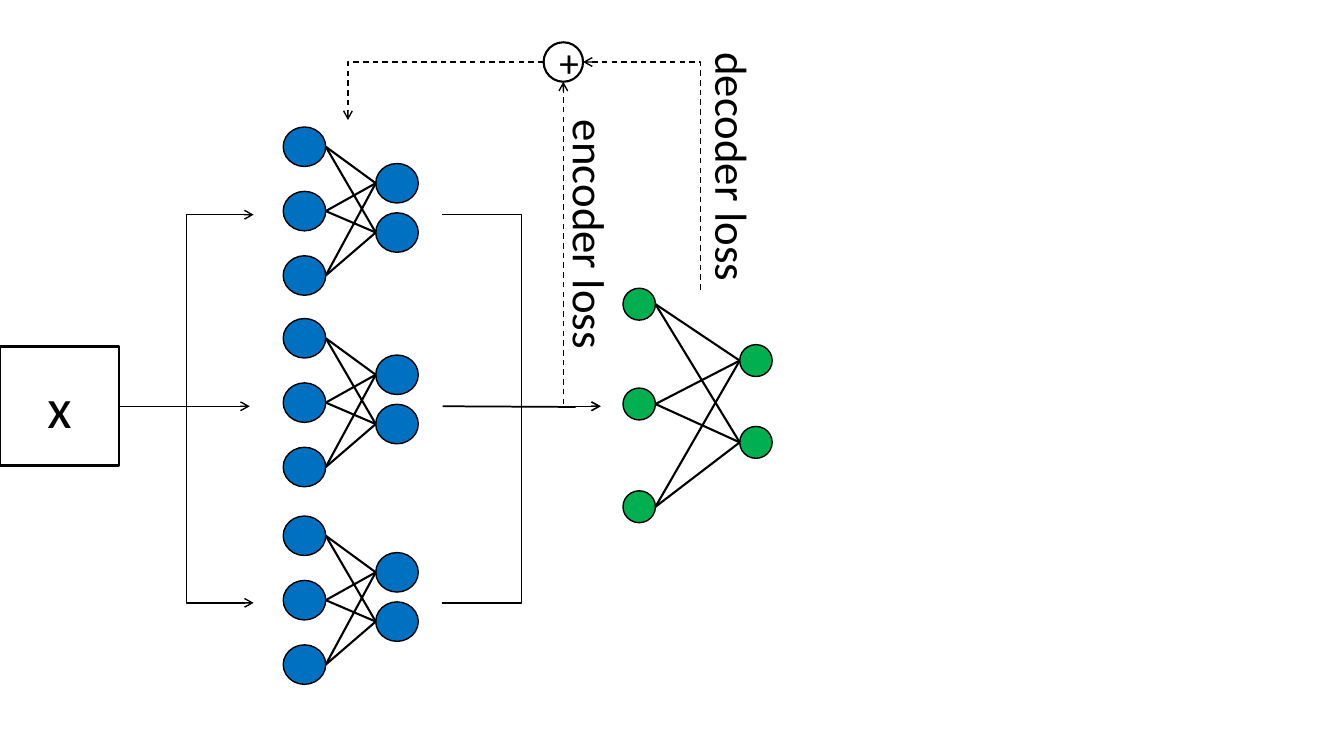
from collections import namedtuple
from itertools import product

from lxml import etree
from pptx import Presentation
from pptx.dml.color import RGBColor
from pptx.enum.dml import MSO_LINE
from pptx.enum.shapes import MSO_CONNECTOR, MSO_SHAPE
from pptx.enum.text import MSO_ANCHOR, PP_ALIGN
from pptx.oxml.ns import qn
from pptx.util import Pt

OVAL, RECT = MSO_SHAPE.OVAL, MSO_SHAPE.RECTANGLE
LINE, ELBOW = MSO_CONNECTOR.STRAIGHT, MSO_CONNECTOR.ELBOW
DASH, MID, MIDDLE = MSO_LINE.DASH, PP_ALIGN.CENTER, MSO_ANCHOR.MIDDLE

Box = namedtuple("Box", "x y w h")
Theme = namedtuple("Theme", "font ink blue green input label sign thin medium thick heavy")
THEME = Theme("Calibri", RGBColor(0, 0, 0), RGBColor(0, 0x70, 0xC0),
              RGBColor(0, 0xB0, 0x50), 40, 32, 28, 1, 1.25, 1.5, 2)


def write(frame, text, size):
    """Write one centred run into a text frame."""
    para = frame.paragraphs[0]
    para.alignment = MID
    run = para.add_run()
    run.text = text
    run.font.name, run.font.size = THEME.font, Pt(size)
    run.font.color.rgb = THEME.ink


def shape(shapes, kind, box, width, fill=None, text="", size=0):
    """Add an outlined shape, with optional fill and text."""
    item = shapes.add_shape(kind, *map(Pt, box))
    item.shadow.inherit = False
    if fill is None:
        item.fill.background()
    else:
        item.fill.solid()
        item.fill.fore_color.rgb = fill
    item.line.color.rgb, item.line.width = THEME.ink, Pt(width)
    if text:
        item.text_frame.vertical_anchor = MIDDLE
        write(item.text_frame, text, size)


def link(shapes, kind, start, end, width=THEME.thin, tip=None, dash=False, corner=False):
    """Join two points; tip names the end that bears an arrowhead."""
    item = shapes.add_connector(kind, *map(Pt, start + end))
    item.line.color.rgb, item.line.width = THEME.ink, Pt(width)
    if dash:
        item.line.dash_style = DASH
    if tip:
        etree.SubElement(item.get_or_add_ln(), qn(tip)).set("type", "arrow")
    props = item._element.spPr
    if corner:
        props.find(qn("a:prstGeom")).set("prst", "bentConnector2")
    etree.SubElement(props, qn("a:effectLst"))


def label(shapes, box, text):
    """Add a label that reads downwards."""
    frame = shapes.add_textbox(*map(Pt, box)).text_frame
    frame.word_wrap = True
    frame.margin_top = frame.margin_bottom = 0
    frame._txBody.bodyPr.set("vert", "eaVert")
    write(frame, text, THEME.label)


def feed(shapes, box):
    """Draw the input square and its three branches."""
    side, mid, right = 85, box.y + 136.8, box.x + box.w
    square = Box(box.x, mid - side / 2, side, side)
    shape(shapes, RECT, square, THEME.heavy, text="x", size=THEME.input)
    for y in (box.y, box.y + box.h):
        link(shapes, ELBOW, (box.x + side, mid), (right, y), tip="a:tailEnd")
    link(shapes, LINE, (box.x + 130.3, mid), (right - 2.8, mid), tip="a:tailEnd")


def net(shapes, box, node, inputs, outputs, fill):
    """Draw a two-layer network; rows are offsets from the box top."""
    parts = shapes.add_group_shape().shapes
    wide, high = node
    far = box.x + box.w - wide
    for x, rows in ((box.x, inputs), (far, outputs)):
        for row in rows:
            shape(parts, OVAL, Box(x, box.y + row, wide, high), THEME.thin, fill)
    base = box.y + high / 2
    for out, row in product(outputs, inputs):
        link(parts, LINE, (box.x + wide, base + row), (far, base + out), THEME.thick)


def merge(shapes, box):
    """Bring the three encoder outputs together."""
    parts = shapes.add_group_shape().shapes
    mid = box.y + 136.8
    for y in (box.y, box.y + box.h):
        link(parts, ELBOW, (box.x, y), (box.x + box.w, mid), tip="a:tailEnd")
    link(parts, LINE, (box.x, mid), (box.x + 95, mid + 0.5), THEME.medium)


def loss(shapes, box):
    """Draw the summed losses and their dashed return path."""
    ring = 28.2
    left, mid = box.x + 139.7, box.y + ring / 2
    right, axis = left + ring, left + ring / 2
    shape(shapes, OVAL, Box(left, box.y, ring, ring), THEME.thick, text="+", size=THEME.sign)
    link(shapes, LINE, (axis, box.y + box.h), (axis, box.y + ring),
         tip="a:tailEnd", dash=True)
    link(shapes, ELBOW, (right, mid), (box.x + box.w, box.y + 179.3),
         tip="a:headEnd", dash=True, corner=True)
    link(shapes, ELBOW, (left, mid), (box.x, box.y + 55.5),
         tip="a:tailEnd", dash=True, corner=True)
    label(shapes, Box(axis - 11, box.y + 55.5, 53.3, 180), "encoder loss")
    label(shapes, Box(box.x + box.w - 7.2, box.y + 7.2, 53.3, 180), "decoder loss")


def main():
    """Build and save the slide."""
    deck = Presentation()
    deck.slide_width, deck.slide_height = Pt(960), Pt(540)
    shapes = deck.slides.add_slide(deck.slide_layouts[6]).shapes
    feed(shapes, Box(0, 153.4, 181.2, 277.2))
    loss(shapes, Box(248.6, 30.2, 251.8, 258.5))
    for top in (90.7, 227.5, 368.6):
        net(shapes, Box(202.3, top, 96.5, 120.2), (30.4, 28.2),
            (0, 46, 92), (26.1, 61.3), THEME.blue)
    net(shapes, Box(445, 205.9, 106.6, 167.8), (23.2, 22.8),
        (0, 71.3, 144.7), (40.3, 98.7), THEME.green)
    merge(shapes, Box(316.1, 153.4, 113, 277.2))
    deck.save("out.pptx")


if __name__ == "__main__":
    main()
